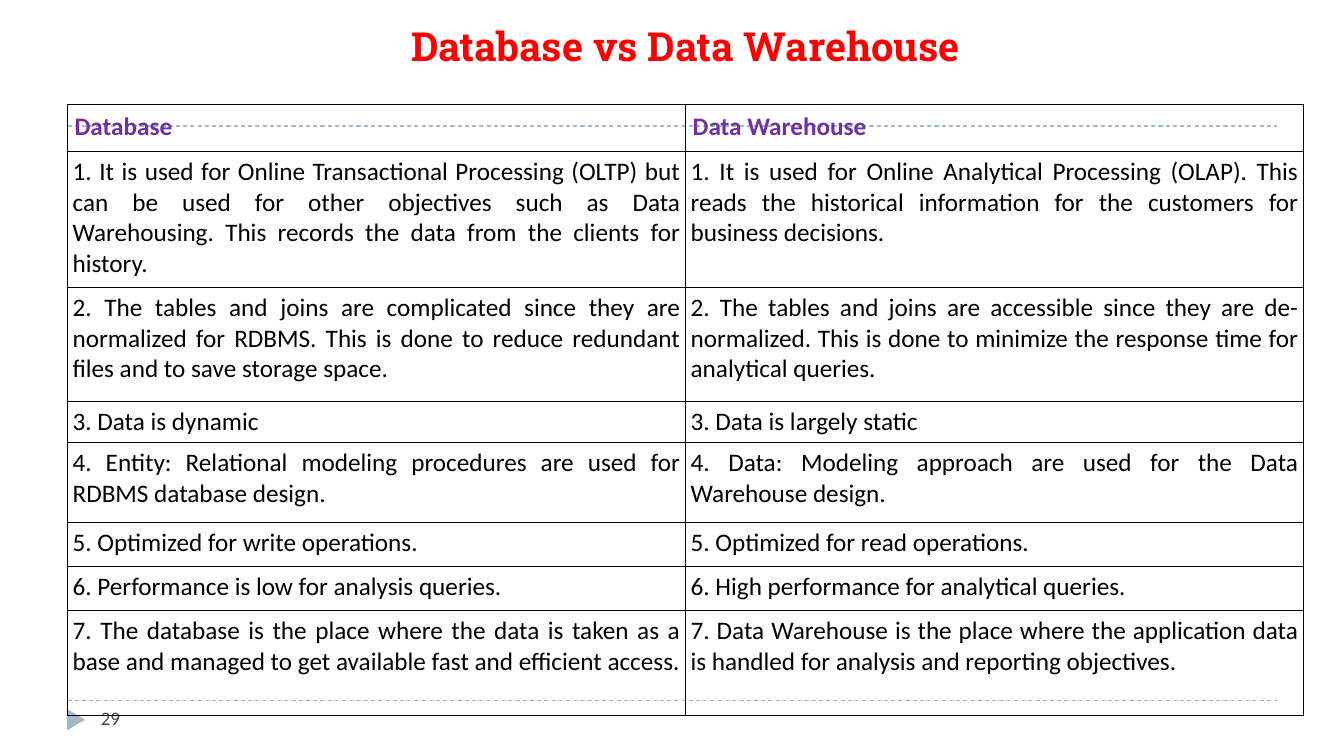
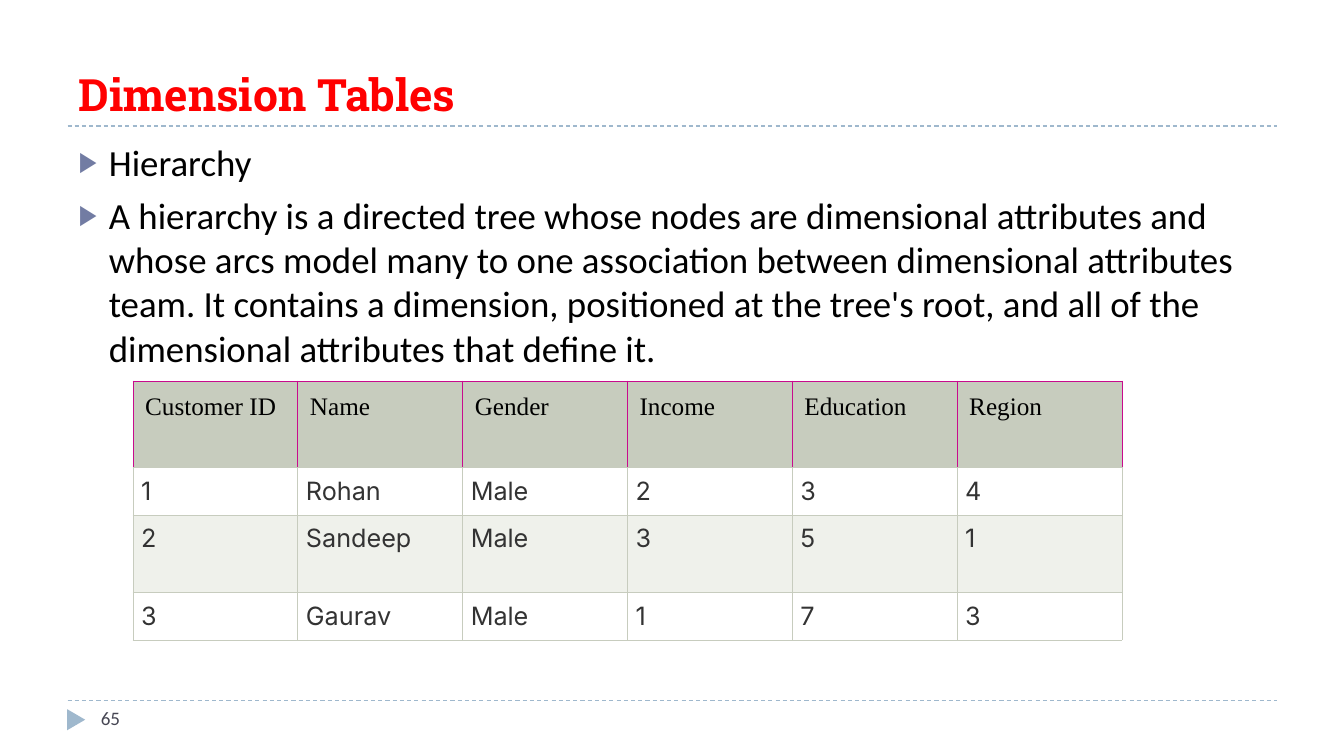
import pptx
import pptx.util
import pptx.dml.color
import pptx.enum.dml
import pptx.enum.shapes
import pptx.enum.text
import pptx.oxml.ns
from lxml import etree

Inch, Pt = pptx.util.Inches, pptx.util.Pt
ALIGN = pptx.enum.text.PP_ALIGN
ANCHOR = pptx.enum.text.MSO_ANCHOR
qn = pptx.oxml.ns.qn

# Content
VERSUS = [
    ("Database", "Data Warehouse"),
    ("1. It is used for Online Transactional Processing (OLTP) but can be used for other "
     "objectives such as Data Warehousing. This records the data from the clients for history.",
     "1. It is used for Online Analytical Processing (OLAP). This reads the historical "
     "information for the customers for business decisions."),
    ("2. The tables and joins are complicated since they are normalized for RDBMS. "
     "This is done to reduce redundant files and to save storage space.",
     "2. The tables and joins are accessible since they are de-normalized. "
     "This is done to minimize the response time for analytical queries."),
    ("3. Data is dynamic", "3. Data is largely static"),
    ("4. Entity: Relational modeling procedures are used for RDBMS database design.",
     "4. Data: Modeling approach are used for the Data Warehouse design."),
    ("5. Optimized for write operations.", "5. Optimized for read operations."),
    ("6. Performance is low for analysis queries.",
     "6. High performance for analytical queries."),
    ("7. The database is the place where the data is taken as a base and managed to get "
     "available fast and efficient access.",
     "7. Data Warehouse is the place where the application data is handled for analysis "
     "and reporting objectives."),
]
POINTS = [
    "Hierarchy",
    "A hierarchy is a directed tree whose nodes are dimensional attributes and whose arcs "
    "model many to one association between dimensional attributes team. It contains a "
    "dimension, positioned at the tree's root, and all of the dimensional attributes that "
    "define it.",
]
CLIENTS = [
    ("Customer ID", "Name", "Gender", "Income", "Education", "Region"),
    ("1", "Rohan", "Male", "2", "3", "4"),
    ("2", "Sandeep", "Male", "3", "5", "1"),
    ("3", "Gaurav", "Male", "1", "7", "3"),
]


# Theme
class Theme:
    wide, high = 13.33, 7.5
    left, span = 0.67, 12
    rules = (1.25, 6.95)
    pale, bullet, black = "9FB8CD", "727CA3", "000000"
    sage, mist, white, pink = "C7CCBE", "EFF1EB", "FFFFFF", "C80B8D"
    inset = (0.11, 0.06)
    title = dict(name="Roboto Slab", size=31.8, color="FF0000", bold=True)
    page = dict(name="Calibri", size=13.6, color="464653")
    body = dict(name="Calibri", size=26.3, color=black)
    plain = dict(name="Calibri", size=18, color=black)
    head = dict(plain, color="7030A0", bold=True)
    serif = dict(plain, name="Times New Roman")
    data = dict(plain, name="Inter", color="333333")


def paint(name):
    return pptx.dml.color.RGBColor.from_string(name)


def assign(thing, values):
    for key, value in values.items():
        setattr(thing, key, value)


def set_font(font, look):
    look = dict(look)
    font.color.rgb = paint(look.pop("color"))
    look["size"] = Pt(look["size"])
    assign(font, look)


def margins(side, top):
    return dict(margin_left=Inch(side), margin_right=Inch(side),
                margin_top=Inch(top), margin_bottom=Inch(top))


def add_bullet(para):
    props = para._p.get_or_add_pPr()
    indent = Inch(0.3)
    props.set("marL", str(indent))
    props.set("indent", str(-indent))
    color = etree.SubElement(props, qn("a:buClr"))
    etree.SubElement(color, qn("a:srgbClr"), val=Theme.bullet)
    etree.SubElement(props, qn("a:buSzPct"), val="76000")
    etree.SubElement(props, qn("a:buFont"), typeface="Arial")
    etree.SubElement(props, qn("a:buChar"), char="▶")


def add_text(slide, box, lines, look, align=ALIGN.LEFT, anchor=ANCHOR.TOP, bullets=False):
    frame = slide.shapes.add_textbox(*map(Inch, box)).text_frame
    assign(frame, dict(margins(*Theme.inset), word_wrap=True, vertical_anchor=anchor))
    for num, line in enumerate(lines):
        para = frame.paragraphs[0] if num == 0 else frame.add_paragraph()
        if bullets:
            add_bullet(para)
        para.alignment = align
        if num:
            para.space_before = Pt(6)
        run = para.add_run()
        run.text = line
        set_font(run.font, look)


def add_edges(cell, edges, width):
    props = cell._tc.get_or_add_tcPr()
    for side, color in zip("LRTB", edges):
        line = etree.SubElement(props, qn("a:ln" + side), w=str(Pt(width)))
        fill = etree.SubElement(line, qn("a:solidFill"))
        etree.SubElement(fill, qn("a:srgbClr"), val=color)


def add_grid(slide, spot, width, heights, rows, format_row, edge):
    count = len(rows[0])
    box = (*spot, width, sum(heights))
    table = slide.shapes.add_table(len(rows), count, *map(Inch, box)).table
    assign(table, dict(first_row=False, horz_banding=False))
    for col in table.columns:
        col.width = Inch(width / count)
    for r, (height, texts) in enumerate(zip(heights, rows)):
        table.rows[r].height = Inch(height)
        form = format_row(r)
        for c, text in enumerate(texts):
            cell = table.cell(r, c)
            assign(cell, margins(form["pad"], form["pad"]))
            add_edges(cell, form["edges"], edge)
            if form["fill"]:
                cell.fill.solid()
                cell.fill.fore_color.rgb = paint(form["fill"])
            else:
                cell.fill.background()
            para = cell.text_frame.paragraphs[0]
            para.alignment = form["align"]
            run = para.add_run()
            run.text = text
            set_font(run.font, form["look"])


def versus_row(r):
    top = r == 0
    return dict(pad=0.07 if top else 0.05, look=Theme.head if top else Theme.plain,
                align=ALIGN.LEFT if top else ALIGN.JUSTIFY,
                fill=None, edges=[Theme.black] * 4)


def client_row(r):
    if r == 0:
        return dict(pad=0.12, look=Theme.serif, align=ALIGN.LEFT, fill=Theme.sage,
                    edges=[Theme.pink] * 3 + [Theme.sage])
    return dict(pad=0.08, look=Theme.data, align=ALIGN.JUSTIFY,
                fill=Theme.white if r % 2 else Theme.mist, edges=[Theme.sage] * 4)


# Shared frame: rules, marker, title and page number
def add_slide(deck, page, title, box, **style):
    slide = deck.slides.add_slide(deck.slide_layouts[6])
    for y in Theme.rules:
        ends = (Theme.left, y, Theme.left + Theme.span, y)
        rule = slide.shapes.add_connector(
            pptx.enum.shapes.MSO_CONNECTOR.STRAIGHT, *map(Inch, ends))
        rule.line.color.rgb = paint(Theme.pale)
        assign(rule.line, dict(width=Pt(0.75), dash_style=pptx.enum.dml.MSO_LINE.DASH))
        etree.SubElement(rule._element.spPr, qn("a:effectLst"))
    mark = slide.shapes.add_shape(
        pptx.enum.shapes.MSO_SHAPE.ISOSCELES_TRIANGLE, *map(Inch, (0.65, 7.05, 0.21, 0.18)))
    mark.rotation = 90
    mark.shadow.inherit = False
    mark.fill.solid()
    mark.fill.fore_color.rgb = paint(Theme.pale)
    mark.line.fill.background()
    size = style.pop("size", Theme.title["size"])
    add_text(slide, box, [title], dict(Theme.title, size=size), anchor=ANCHOR.BOTTOM, **style)
    add_text(slide, (0.89, Theme.rules[1], 2.89, 0.4), [str(page)], Theme.page)
    return slide


def main():
    deck = pptx.Presentation()
    assign(deck, dict(slide_width=Inch(Theme.wide), slide_height=Inch(Theme.high)))

    # Comparison
    slide = add_slide(deck, 29, "Database vs Data Warehouse", (Theme.left, 0.4, 12.26, 0.35),
                      size=28.6, align=ALIGN.CENTER)
    add_grid(slide, (Theme.left, 1.04), 12.26,
             [0.46, 1.35, 1.13, 0.41, 0.79, 0.44, 0.44, 1.04], VERSUS, versus_row, 1)

    # Dimension tables
    slide = add_slide(deck, 65, "Dimension Tables", (Theme.left, 0.17, Theme.span, 1.08))
    add_text(slide, (Theme.left, 1.33, Theme.span, 5.4), POINTS, Theme.body, bullets=True)
    add_grid(slide, (1.32, 3.78), 9.81, [0.86, 0.47, 0.77, 0.47], CLIENTS, client_row, 0.75)

    deck.save("out.pptx")


if __name__ == "__main__":
    main()
